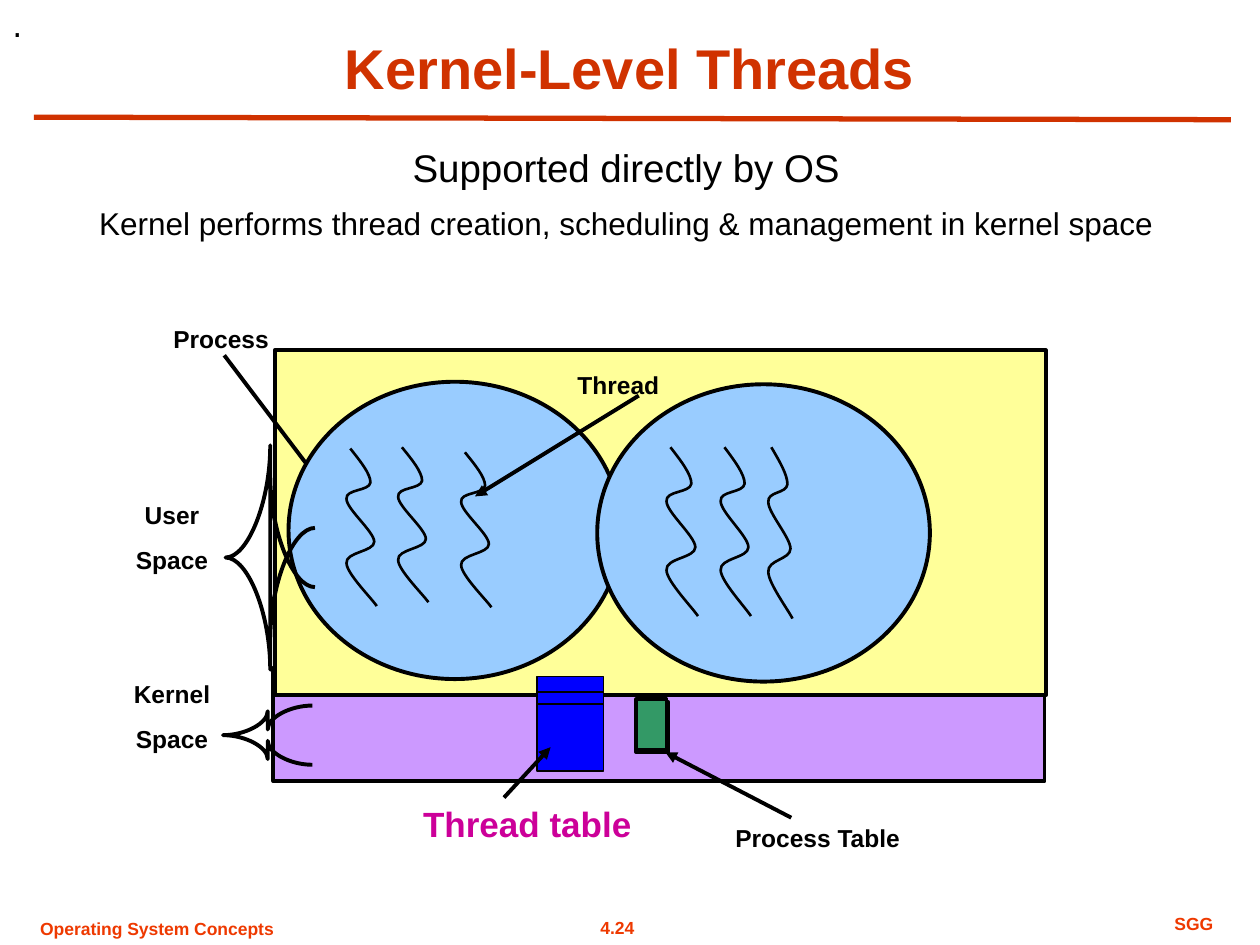
from typing import NamedTuple

from pptx import Presentation
from pptx import util as u
from pptx.dml.color import RGBColor
from pptx.enum import shapes, text
from pptx.oxml.ns import qn
from lxml import etree

PX = 9144  # one hundredth of an inch
BLACK, RUST, FOOT = "000000", "D03200", "EE3900"
RECT, OVAL = shapes.MSO_SHAPE.RECTANGLE, shapes.MSO_SHAPE.OVAL
LEFT, MID = text.PP_ALIGN.LEFT, text.PP_ALIGN.CENTER


class Box(NamedTuple):
    x: int
    y: int
    w: int
    h: int


class Label(NamedTuple):
    box: Box
    words: str
    size: int = 14
    color: str = BLACK
    bold: bool = True
    align: int = MID
    font: str = "Arial"
    wrap: bool = True


class Arrow(NamedTuple):
    start: tuple[int, int]
    end: tuple[int, int]


Point = tuple[float, float]

prs = Presentation()
prs.slide_width, prs.slide_height = 1000 * PX, 750 * PX
slide = prs.slides.add_slide(prs.slide_layouts[6])


def rgb(code: str) -> RGBColor:
    return RGBColor.from_string(code)


def emu(box: Box) -> list[int]:
    return [n * PX for n in box]


def stroke(line, color: str = BLACK, width: float = 2.25) -> None:
    line.color.rgb = rgb(color)
    line.width = u.Pt(width)


def solid(kind: int, box: Box, fill: str, width: float = 2.25) -> None:
    shape = slide.shapes.add_shape(kind, *emu(box))
    shape.shadow.inherit = False
    shape.fill.solid()
    shape.fill.fore_color.rgb = rgb(fill)
    stroke(shape.line, width=width)


def write(label: Label, sizes: tuple[int, ...] = (), gap: float = 8.8) -> None:
    """Add a label; sizes overrides the text size of each paragraph."""
    frame = slide.shapes.add_textbox(*emu(label.box)).text_frame
    frame.word_wrap = label.wrap
    frame.text = label.words
    for i, para in enumerate(frame.paragraphs):
        para.alignment = label.align
        if i:
            para.space_before = u.Pt(gap)
        font = para.runs[0].font
        font.name, font.bold = label.font, label.bold
        font.size = u.Pt(sizes[i] if sizes else label.size)
        font.color.rgb = rgb(label.color)


def rule(arrow: Arrow, color: str = BLACK, width: float = 2.25, head: bool = True) -> None:
    ends = [n * PX for n in arrow.start + arrow.end]
    line = slide.shapes.add_connector(shapes.MSO_CONNECTOR.STRAIGHT, *ends)
    stroke(line.line, color, width)
    if head:
        etree.SubElement(line.line._get_or_add_ln(), qn("a:tailEnd"), type="triangle")
    etree.SubElement(line._element.spPr, qn("a:effectLst"))


def trace(box: Box, steps: list[list[Point]], width: float) -> None:
    """Draw an open outline: the start, then steps of one point (line) or three (curve)."""
    x, y, w, h = emu(box)
    pen = slide.shapes.build_freeform(x, y)
    pen.add_line_segments([(x + w, y + h)], close=False)
    shape = pen.convert_to_shape()
    track = next(shape._element.iter(qn("a:path")))
    for old in list(track):
        track.remove(old)
    for i, step in enumerate(steps):
        tag = "a:cubicBezTo" if len(step) == 3 else "a:lnTo" if i else "a:moveTo"
        part = etree.SubElement(track, qn(tag))
        for px, py in step:
            etree.SubElement(part, qn("a:pt"), x=str(round(px * PX)), y=str(round(py * PX)))
    shape.shadow.inherit = False
    shape.fill.background()
    stroke(shape.line, width=width)


# Start of the wave, then three points for each curve, in a 25 by 125 box
WAVE = [(4, 0), (12, 10), (20, 20), (20, 27), (19, 34), (0, 32), (1, 40),
        (1, 48), (23, 66), (23, 74), (23, 82), (0, 82), (1, 91),
        (1, 99), (21, 119), (25, 125)]


def thread(box: Box) -> None:
    knots = [(x * box.w / 25, y * box.h / 125) for x, y in WAVE]
    curves = [knots[i:i + 3] for i in range(1, len(knots), 3)]
    trace(box, [knots[:1]] + curves, 1.5)


def brace(box: Box, arm: int) -> None:
    """A left brace whose arms overshoot when arm exceeds a quarter of its height."""
    w, h = box.w, box.h
    mid, axis, half = h / 2, w / 2, arm / 2
    near, far = w / 4, w * 3 / 4
    trace(box, [
        [(w, 0)],
        [(far, 0), (axis, half), (axis, arm)],
        [(axis, mid - arm)],
        [(axis, mid - half), (near, mid), (0, mid)],
        [(near, mid), (axis, mid + half), (axis, mid + arm)],
        [(axis, h - arm)],
        [(axis, h - half), (far, h), (w, h)],
    ], 2.25)


def main() -> None:
    write(Label(Box(441, 723, 98, 27), "4.24", 10, FOOT, wrap=False))
    write(Label(Box(895, 720, 105, 27), "SGG", 10, FOOT))
    write(Label(Box(22, 724, 205, 27), "Operating System Concepts", 10, FOOT,
                align=LEFT, wrap=False))
    rule(Arrow((27, 93), (977, 95)), RUST, 3, head=False)
    solid(RECT, Box(217, 530, 612, 90), "CC99FF")
    write(Label(Box(50, 22, 900, 63), "Kernel-Level Threads", 32, RUST))
    write(Label(Box(50, 109, 894, 162), "Supported directly by OS\nKernel performs thread "
                "creation, scheduling & management in kernel space", bold=False),
          sizes=(22, 18), gap=7.9)

    solid(RECT, Box(218, 278, 612, 274), "FFFF99")
    write(Label(Box(419, 289, 149, 34), "Thread "))
    rule(Arrow((178, 282), (265, 397)))
    write(Label(Box(517, 648, 264, 34), "Process Table"))
    for y, w in ((557, 25), (555, 24)):
        solid(RECT, Box(505, y, w, 40), "339966")
    rule(Arrow((628, 649), (528, 597)))
    write(Label(Box(101, 252, 149, 34), "Process"))

    solid(OVAL, Box(229, 303, 264, 236), "99CCFF")
    for x, y, h in ((274, 356, 125), (315, 355, 123), (365, 359, 123)):
        thread(Box(x, y, 25, h))
    for y in (537, 549, 559):
        solid(RECT, Box(426, y, 53, 53), "0000FF", 1)
    solid(OVAL, Box(474, 305, 264, 236), "99CCFF")
    for x, w, h in ((528, 26, 134), (571, 25, 134), (609, 20, 136)):
        thread(Box(x, 355, w, h))

    write(Label(Box(305, 632, 227, 44), "Thread table", 20, "CC0099"))
    rule(Arrow((507, 314), (377, 394)))
    rule(Arrow((400, 633), (437, 593)))
    brace(Box(179, 419, 71, 47), 89)
    write(Label(Box(62, 392, 149, 69), "User\nSpace"))
    write(Label(Box(62, 534, 149, 69), "Kernel\nSpace"))
    brace(Box(177, 560, 71, 47), 19)
    write(Label(Box(0, 0, 51, 40), ".", 18, bold=False, align=LEFT, font="DejaVu Sans"))
    prs.save("out.pptx")


if __name__ == "__main__":
    main()
